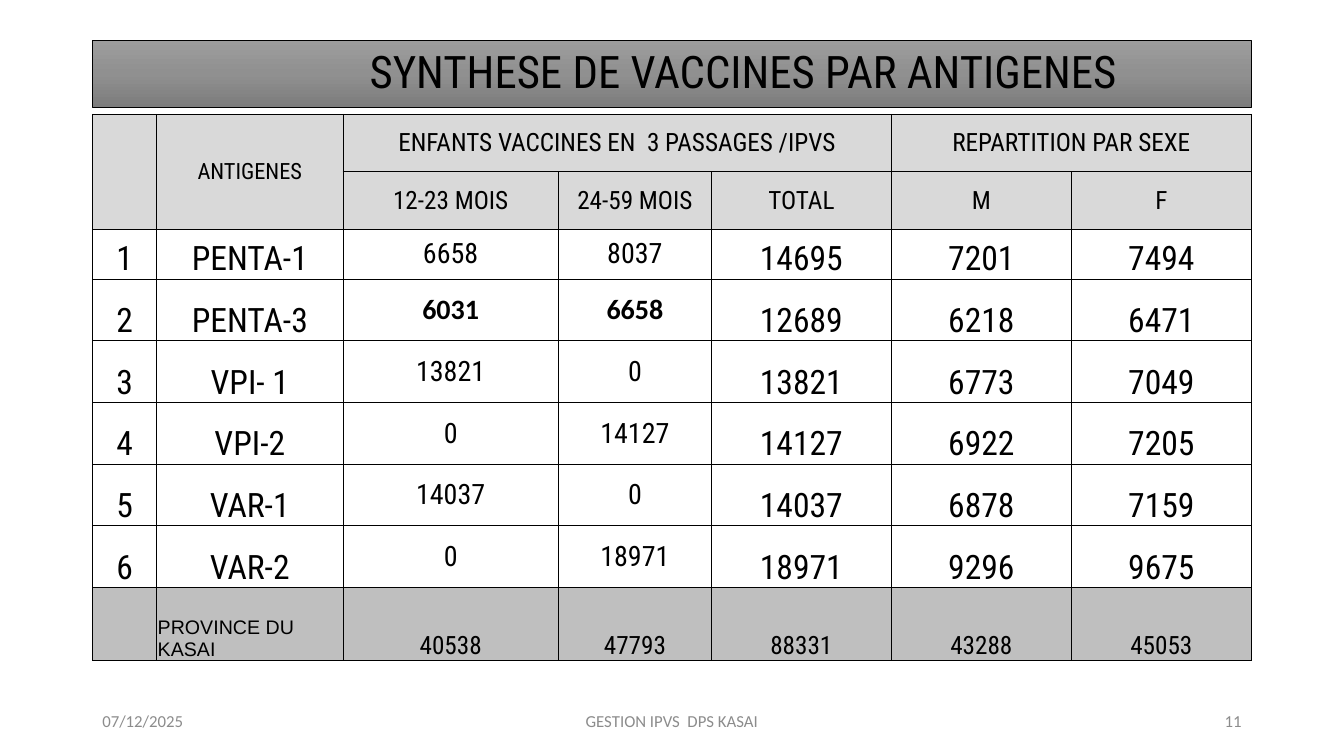
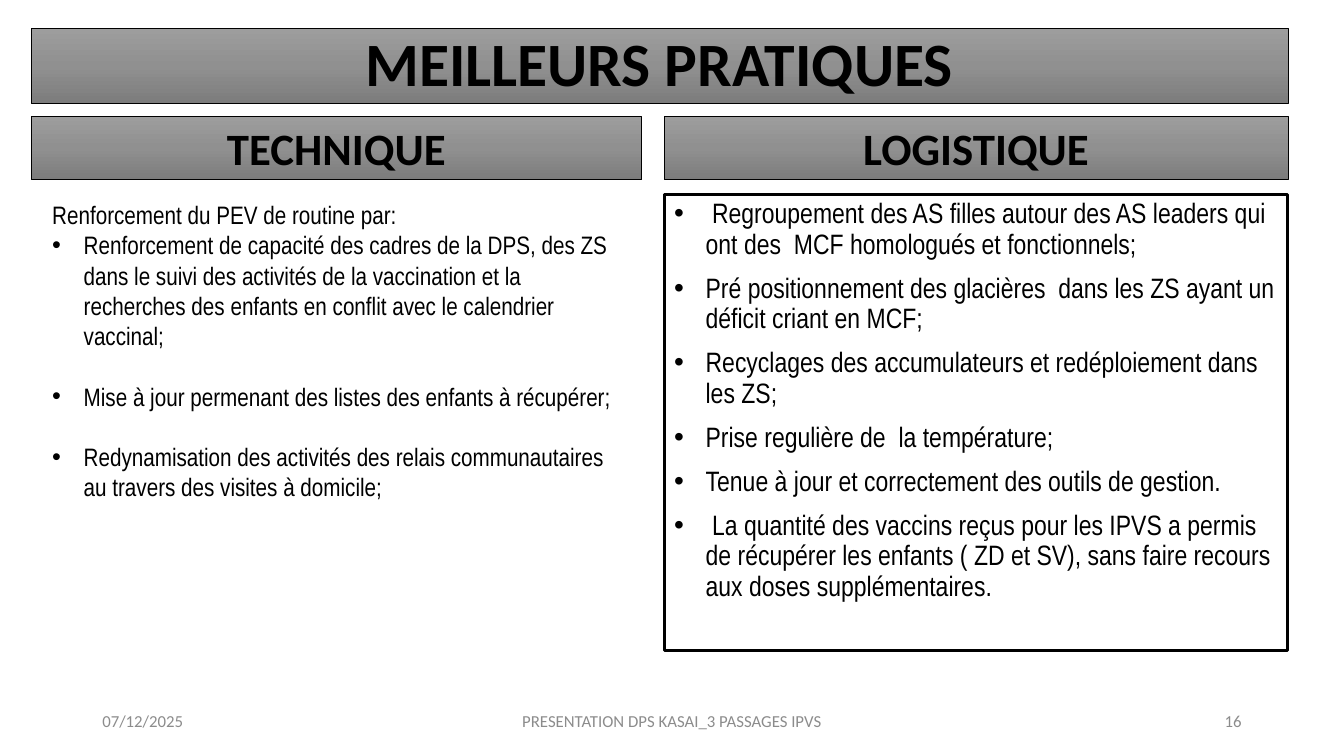
from copy import deepcopy

from lxml.etree import SubElement
from pptx import Presentation
from pptx.dml.color import RGBColor
from pptx.enum.shapes import MSO_SHAPE
from pptx.enum.text import MSO_ANCHOR, PP_ALIGN
from pptx.oxml.ns import qn
from pptx.util import Pt

COLORS = {name: RGBColor.from_string(value) for name, value in {
    "text": "000000",
    "footer": "8C8C8C",
    "header": "D9D9D9",
    "body": "FFFFFF",
    "total": "BFBFBF",
    "band_top": "9D9D9D",
    "band_middle": "909090",
    "band_bottom": "7C7C7C",
}.items()}
CONDENSED = "Roboto Condensed"


def style_paragraph(paragraph, text, size, font, align=PP_ALIGN.LEFT, color="text",
                    bold=False, bullet=False):
    paragraph.text = text
    paragraph.alignment = align
    if bullet:
        properties = paragraph._p.get_or_add_pPr()
        properties.set("marL", str(Pt(22.5)))
        properties.set("indent", str(-Pt(22.5)))
        SubElement(properties, qn("a:buFont"), typeface="Arial")
        SubElement(properties, qn("a:buChar"), char="•")
    paragraph.font.size = Pt(size)
    paragraph.font.name = font
    paragraph.font.bold = bold
    paragraph.font.color.rgb = COLORS[color]


def add_band(slide, left, top, width, height, text, size, font, bold=True,
             anchor=MSO_ANCHOR.MIDDLE, inset=None):
    band = slide.shapes.add_shape(MSO_SHAPE.RECTANGLE, Pt(left), Pt(top), Pt(width), Pt(height))
    band.shadow.inherit = False
    band.line.color.rgb = COLORS["text"]
    band.line.width = Pt(0.5)
    band.fill.gradient()
    band.fill.gradient_angle = 270
    first_stop = band._element.spPr.find(qn("a:gradFill")).find(qn("a:gsLst"))[0]
    first_stop.addnext(deepcopy(first_stop))
    for stop, position, shade in zip(band.fill.gradient_stops, (0, 0.5, 1),
                                     ("band_top", "band_middle", "band_bottom")):
        stop.position = position
        stop.color.rgb = COLORS[shade]
    frame = band.text_frame
    frame.word_wrap = True
    frame.vertical_anchor = anchor
    frame.margin_left = Pt(inset or 7.2)
    align = PP_ALIGN.LEFT if inset else PP_ALIGN.CENTER
    style_paragraph(frame.paragraphs[0], text, size, font, align, bold=bold)
    frame.paragraphs[0].line_spacing = 0.9


prs = Presentation()
prs.slide_width = Pt(960)
prs.slide_height = Pt(540)
blank = prs.slide_layouts[6]
synthesis = prs.slides.add_slide(blank)
practices = prs.slides.add_slide(blank)

for slide, footer, number in (
    (synthesis, "GESTION IPVS  DPS KASAI", "11"),
    (practices, "PRESENTATION DPS KASAI_3 PASSAGES IPVS", "16"),
):
    for left, width, text, align in (
        (66, 216, "07/12/2025", PP_ALIGN.LEFT),
        (318, 324, footer, PP_ALIGN.CENTER),
        (678, 216, number, PP_ALIGN.RIGHT),
    ):
        frame = slide.shapes.add_textbox(Pt(left), Pt(500.5), Pt(width), Pt(28.8)).text_frame
        frame.word_wrap = True
        frame.vertical_anchor = MSO_ANCHOR.MIDDLE
        style_paragraph(frame.paragraphs[0], text, 12, "Calibri", align, "footer")

add_band(synthesis, 66, 28.8, 828, 47.8, "SYNTHESE DE VACCINES PAR ANTIGENES", 32, CONDENSED,
         bold=False, inset=198)

rows = [
    ("", "ANTIGENES", "ENFANTS VACCINES EN  3 PASSAGES /IPVS", "", "", "REPARTITION PAR SEXE", ""),
    ("", "", "12-23 MOIS", "24-59 MOIS", "TOTAL", "M", "F"),
    ("1", "PENTA-1", "6658", "8037", "14695", "7201", "7494"),
    ("2", "PENTA-3", "6031", "6658", "12689", "6218", "6471"),
    ("3", "VPI- 1", "13821", "0", "13821", "6773", "7049"),
    ("4", "VPI-2", "0", "14127", "14127", "6922", "7205"),
    ("5", "VAR-1", "14037", "0", "14037", "6878", "7159"),
    ("6", "VAR-2", "0", "18971", "18971", "9296", "9675"),
    ("", "PROVINCE DU KASAI", "40538", "47793", "88331", "43288", "45053"),
]
column_widths = [46, 133, 154, 109.2, 128.6, 128.6, 128.6]
row_heights = [41, 41, 35.8] + [44.1] * 5 + [52.3]
vaccinated = synthesis.shapes.add_table(
    len(rows), len(column_widths), Pt(66), Pt(81.5),
    Pt(sum(column_widths)), Pt(sum(row_heights))).table
vaccinated.first_row = False
vaccinated.horz_banding = False
for column, width in zip(vaccinated.columns, column_widths):
    column.width = Pt(width)
for row, height in zip(vaccinated.rows, row_heights):
    row.height = Pt(height)

for r, values in enumerate(rows):
    for c, value in enumerate(values):
        cell = vaccinated.cell(r, c)
        size, font, align, bold = 24, CONDENSED, PP_ALIGN.CENTER, False
        fill, anchor = "body", MSO_ANCHOR.BOTTOM
        if r < 2:
            size, fill, anchor = (16 if c == 1 else 18), "header", MSO_ANCHOR.MIDDLE
        elif r == len(rows) - 1:
            size, fill = 18, "total"
            if c == 1:
                size, font, align = 14, "Arial", PP_ALIGN.LEFT
        elif c in (2, 3):
            size, anchor = 20, MSO_ANCHOR.MIDDLE
            if values[1] == "PENTA-3":
                font, bold = "Calibri", True
        cell.margin_left = cell.margin_right = cell.margin_top = Pt(0.7)
        cell.margin_bottom = 0
        cell.vertical_anchor = anchor
        for side in ("a:lnL", "a:lnR", "a:lnT", "a:lnB"):
            border = SubElement(cell._tc.get_or_add_tcPr(), qn(side), w=str(Pt(0.5)))
            SubElement(SubElement(border, qn("a:solidFill")), qn("a:srgbClr"),
                       val=str(COLORS["text"]))
        cell.fill.solid()
        cell.fill.fore_color.rgb = COLORS[fill]
        style_paragraph(cell.text_frame.paragraphs[0], value, size, font, align, bold=bold)

for start, end in (((0, 0), (1, 0)), ((0, 1), (1, 1)), ((0, 2), (0, 4)), ((0, 5), (0, 6))):
    vaccinated.cell(*start).merge(vaccinated.cell(*end))

add_band(practices, 22.3, 20.2, 897.7, 54, "MEILLEURS PRATIQUES", 44, "Calibri")
for left, width, heading in ((22.3, 436, "TECHNIQUE"), (474.5, 445.5, "LOGISTIQUE")):
    add_band(practices, left, 83, width, 45.4, heading, 32, "Calibri", anchor=MSO_ANCHOR.BOTTOM)

technique = practices.shapes.add_textbox(Pt(30.2), Pt(139), Pt(425), Pt(225)).text_frame
logistics_box = practices.shapes.add_shape(
    MSO_SHAPE.RECTANGLE, Pt(474.5), Pt(139), Pt(445.5), Pt(325.5))
logistics_box.shadow.inherit = False
logistics_box.fill.background()
logistics_box.line.color.rgb = COLORS["text"]
logistics_box.line.width = Pt(2.25)
logistics = logistics_box.text_frame
logistics.vertical_anchor = MSO_ANCHOR.TOP

technique_points = [
    ("Renforcement du PEV de routine par:", 0),
    ("Renforcement de capacité des cadres de la DPS, des ZS dans le suivi des activités de la "
     "vaccination et la recherches des enfants en conflit avec le calendrier vaccinal;", 0),
    ("Mise à jour permenant des listes des enfants à récupérer;", 21.6),
    ("Redynamisation des activités des relais communautaires au travers des visites à domicile;",
     21.6),
]
logistics_points = [
    (" Regroupement des AS filles autour des AS leaders qui ont des  MCF homologués et "
     "fonctionnels;", 0),
    ("Pré positionnement des glacières  dans les ZS ayant un déficit criant en MCF;", 10),
    ("Recyclages des accumulateurs et redéploiement dans les ZS;", 10),
    ("Prise regulière de  la température;", 10),
    ("Tenue à jour et correctement des outils de gestion.", 10),
    (" La quantité des vaccins reçus pour les IPVS a permis de récupérer les enfants ( ZD et SV), "
     "sans faire recours aux doses supplémentaires.", 10),
]
for frame, points, size, spacing in (
    (technique, technique_points, 18, 1),
    (logistics, logistics_points, 20, 0.9),
):
    frame.word_wrap = True
    for i, (text, gap) in enumerate(points):
        paragraph = frame.add_paragraph() if i else frame.paragraphs[0]
        paragraph.line_spacing = spacing
        paragraph.space_before = Pt(gap)
        style_paragraph(paragraph, text, size, "Arial Narrow",
                        bullet=frame is logistics or i > 0)

prs.save("out.pptx")
